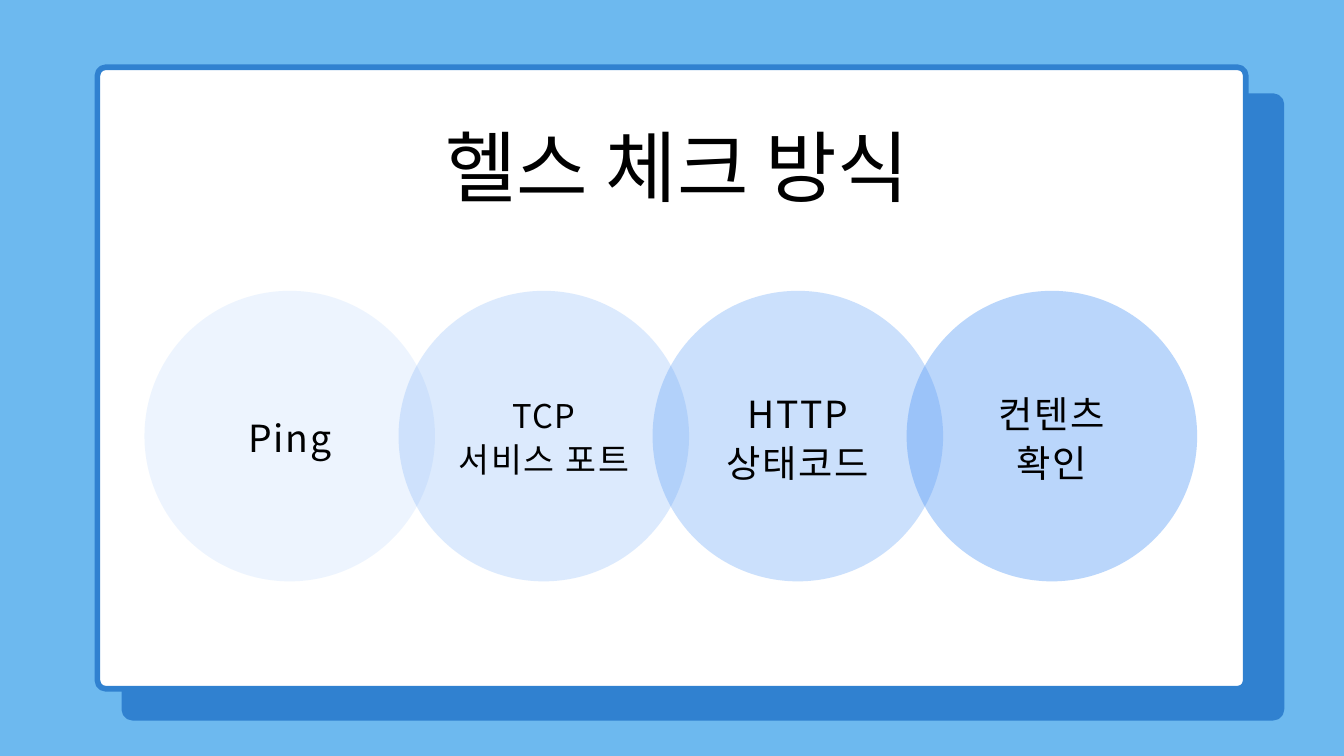
from pptx import Presentation
from pptx.dml.color import RGBColor
from pptx.enum.shapes import MSO_SHAPE
from pptx.enum.text import MSO_ANCHOR, MSO_AUTO_SIZE, PP_ALIGN
from pptx.oxml.ns import qn
from pptx.util import Pt
from lxml import etree

FONT = "Noto Sans CJK KR"
BLUE = "3081D0"


def set_color(fill, color, opacity=100):
    fill.solid()
    fill.fore_color.rgb = RGBColor.from_string(color)
    if opacity < 100:
        color_element = fill._xPr.find(qn("a:solidFill"))[0]
        etree.SubElement(color_element, qn("a:alpha"), val=str(opacity * 1000))


def write_text(shape, lines, sizes, leading=1.3, spacing=0.0):
    """Write one centred paragraph per line; spacing is a share of the size."""
    frame = shape.text_frame
    frame.auto_size = MSO_AUTO_SIZE.NONE
    frame.word_wrap = True
    frame.vertical_anchor = MSO_ANCHOR.TOP
    frame.margin_left = frame.margin_top = frame.margin_right = frame.margin_bottom = 0
    for index, (line, size) in enumerate(zip(lines, sizes)):
        paragraph = frame.paragraphs[0] if index == 0 else frame.add_paragraph()
        paragraph.alignment = PP_ALIGN.CENTER
        paragraph.line_spacing = Pt(size * leading)
        paragraph.space_before = Pt(0)
        run = paragraph.add_run()
        run.text = line
        run.font.size = Pt(size)
        run.font.name = FONT
        set_color(run.font.fill, "000000")
        properties = run.font._element
        etree.SubElement(properties, qn("a:ea"), typeface=FONT)
        if spacing:
            properties.set("spc", str(round(size * spacing * 100)))


presentation = Presentation()
presentation.slide_width = Pt(1440)
presentation.slide_height = Pt(810)
slide = presentation.slides.add_slide(presentation.slide_layouts[5])
set_color(slide.background.fill, "6DB9EF")

# Offset back panel, then the white front panel
for left, top, width, color in [(133.2, 103, 1239.8, BLUE), (104.4, 72, 1230.4, "FFFFFF")]:
    panel = slide.shapes.add_shape(
        MSO_SHAPE.ROUNDED_RECTANGLE, Pt(left), Pt(top), Pt(width), Pt(666))
    panel.adjustments[0] = 9 / 666
    panel.shadow.inherit = False
    set_color(panel.fill, color)
    set_color(panel.line.fill, BLUE)
    panel.line.width = Pt(6)

title = slide.shapes.title
title.left, title.top, title.width, title.height = Pt(450), Pt(121), Pt(550.8), Pt(108)
write_text(title, ["헬스 체크 방식"], [83.3], leading=1.28)
panel.element.addnext(title.element)  # in front of the panels

# Overlapping circles that grow more opaque
first_left, circle_top, diameter, step = 154.8, 311.6, 311.3, 272.2
label_width, label_middle = 207.4, 466
checks = [
    (["Ping"], [40], 49.7),
    (["TCP", "서비스 포트"], [35, 36], 90.7),
    (["HTTP", "상태코드"], [40, 40], 101.5),
    (["컨텐츠", "확인"], [40, 40], 101.5),
]
for index in range(len(checks)):
    circle = slide.shapes.add_shape(
        MSO_SHAPE.OVAL, Pt(first_left + index * step), Pt(circle_top), Pt(diameter), Pt(diameter))
    circle.shadow.inherit = False
    set_color(circle.fill, "5499F6", opacity=10 * (index + 1))
    circle.line.fill.background()

for index, (lines, sizes, height) in enumerate(checks):
    label_left = first_left + index * step + (diameter - label_width) / 2
    label = slide.shapes.add_textbox(
        Pt(label_left), Pt(label_middle - height / 2), Pt(label_width), Pt(height))
    write_text(label, lines, sizes, spacing=0.05)

presentation.save("out.pptx")
